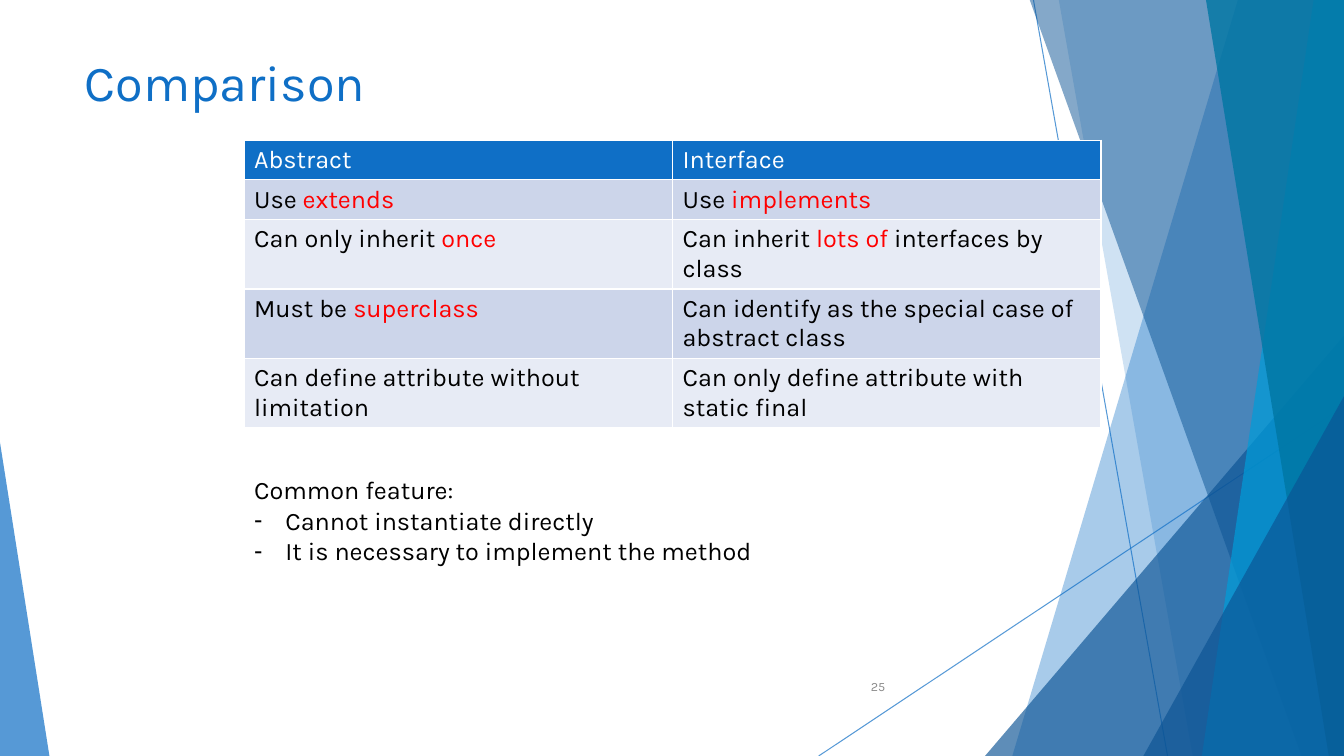
from lxml import etree
from pptx import Presentation, util as u
from pptx.dml.color import RGBColor
from pptx.enum import shapes, text
from pptx.oxml import ns

BLUE, NAVY, RED, BLACK, WHITE = "0F6FC6", "0B5394", "FF0000", "000000", "FFFFFF"


def paint(fill, hue, node=None, alpha=100):
    fill.solid()
    fill.fore_color.rgb = RGBColor.from_string(hue)
    if alpha < 100:
        tone = next(node.iter(ns.qn("a:srgbClr")))
        etree.SubElement(tone, ns.qn("a:alpha"), val=str(alpha * 1000))


def write(para, words, size=18, hue=BLACK):
    for i, part in enumerate(words.split("|")):
        run = para.add_run()
        run.text = part
        style = {"name": "Karla", "size": u.Pt(size)}
        for key, val in style.items():
            setattr(run.font, key, val)
        paint(run.font.fill, RED if i % 2 else hue)


deck = Presentation()
deck.slide_width, deck.slide_height = u.Inches(13.33), u.Inches(7.5)
slide = deck.slides.add_slide(deck.slide_layouts[1])
parts = slide.shapes
title, notes = parts.title, slide.placeholders[1]

for ends in [(10.25, 0, 11.58, 7.5), (13.33, 4.03, 8.12, 7.5)]:
    line = parts.add_connector(shapes.MSO_CONNECTOR.STRAIGHT, *map(u.Inches, ends))
    line.line.width = u.Pt(0.75)
    paint(line.line.fill, BLUE, line.element, 70)
    etree.SubElement(line.element.spPr, ns.qn("a:effectLst"))

bands = [
    ("edge", (12.28, 10.04), BLUE, 36),
    ("edge", (10.5, 11.83), BLUE, 20),
    ("peak", (9.77, 3.33, 3.56, 4.17, 1), NAVY, 66),
    ("edge", (10.21, 12.91), NAVY, 50),
    ("edge", (13.03, 11.92), "009DD9", 70),
    ("edge", (11.96, 13.18), "0076A3", 80),
    ("peak", (11.34, 3.93, 1.99, 3.57, 1), NAVY, 66),
    ("peak", (0, 4.39, 0.49, 3.11, 0), BLUE, 70),
]
for kind, spots, hue, alpha in bands:
    if kind == "edge":
        top, base = spots
        dots = [(top, -0.01), (13.33, -0.01), (13.33, 7.5), (base, 7.5)]
        dots = [(u.Inches(x), u.Inches(y)) for x, y in dots]
        form = parts.build_freeform(*dots[0], scale=1.0)
        form.add_line_segments(dots[1:], close=True)
        band = form.convert_to_shape()
    else:
        band = parts.add_shape(shapes.MSO_SHAPE.ISOSCELES_TRIANGLE, *map(u.Inches, spots[:4]))
        band.adjustments[0] = spots[4]
    band.shadow.inherit = False
    band.line.fill.background()
    paint(band.fill, hue, band.element, alpha)

rows = [
    ("Abstract", "Interface"),
    ("Use |extends", "Use |implements"),
    ("Can only inherit |once", "Can inherit |lots of| interfaces by class"),
    ("Must be |superclass", "Can identify as the special case of abstract class"),
    ("Can define attribute without limitation", "Can only define attribute with static final"),
]
highs = [0.39, 0.39, 0.69, 0.69, 0.69]
grid = parts.add_table(5, 2, *map(u.Inches, (2.42, 1.39, 8.5, sum(highs)))).table
for r, (row, high) in enumerate(zip(rows, highs)):
    grid.rows[r].height = u.Inches(high)
    for c, words in enumerate(row):
        cell = grid.cell(r, c)
        props = cell._tc.get_or_add_tcPr()
        for side in "LRTB":
            rule = etree.SubElement(props, ns.qn("a:ln" + side), w=str(u.Pt(1)))
            tint = etree.SubElement(rule, ns.qn("a:solidFill"))
            etree.SubElement(tint, ns.qn("a:srgbClr"), val=WHITE)
        paint(cell.fill, ("CCD5EA" if r % 2 else "E7EBF5") if r else BLUE)
        write(cell.text_frame.paragraphs[0], words, hue=BLACK if r else WHITE)

page = parts.add_textbox(0, 0, 0, 0)
top, mid = text.MSO_ANCHOR.TOP, text.MSO_ANCHOR.MIDDLE
left, right = text.PP_ALIGN.LEFT, text.PP_ALIGN.RIGHT
feats = ["Common feature:", "Cannot instantiate directly", "It is necessary to implement the method"]
blocks = [
    (title, (0.74, 0.46, 9.4, 1.44), top, left, ["Comparison"], 36, BLUE),
    (page, (7.88, 6.61, 1, 0.4), mid, right, ["25"], 9, "8C8C8C"),
    (notes, (2.42, 4.66, 7.87, 1.01), top, left, feats, 18, BLACK),
]
for box, spot, hold, side, lines, size, hue in blocks:
    for key, val in zip(("left", "top", "width", "height"), spot):
        setattr(box, key, u.Inches(val))
    frame = box.text_frame
    form = {"word_wrap": True, "auto_size": text.MSO_AUTO_SIZE.NONE, "vertical_anchor": hold}
    for key, val in form.items():
        setattr(frame, key, val)
    for i, words in enumerate(lines):
        para = frame.add_paragraph() if i else frame.paragraphs[0]
        para.alignment, para.space_before = side, u.Pt(0)
        props = para._p.get_or_add_pPr()
        dent = u.Inches(0.31) if i else 0
        props.set("marL", str(dent))
        props.set("indent", str(-dent))
        if i:
            etree.SubElement(props, ns.qn("a:buChar"), char="-")
        else:
            etree.SubElement(props, ns.qn("a:buNone"))
        write(para, words, size, hue)
    parts.element.append(box.element)

deck.save("out.pptx")
